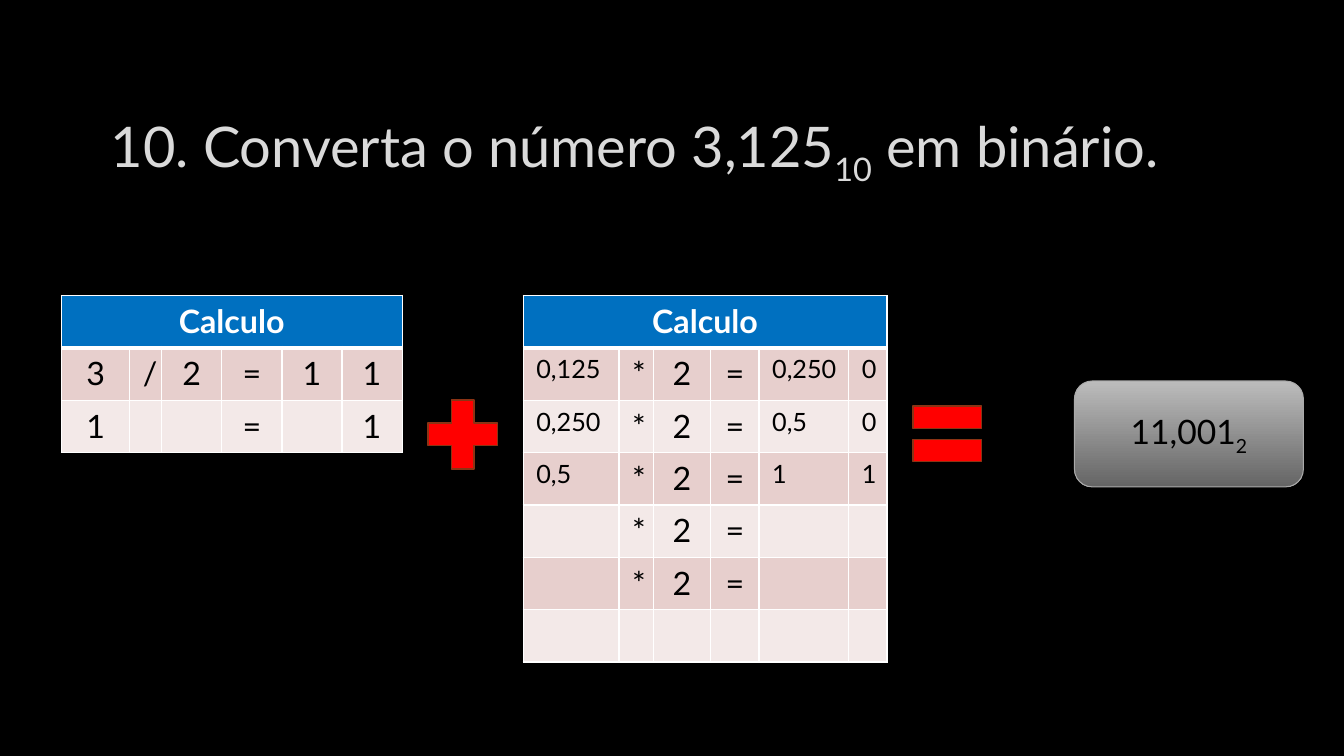
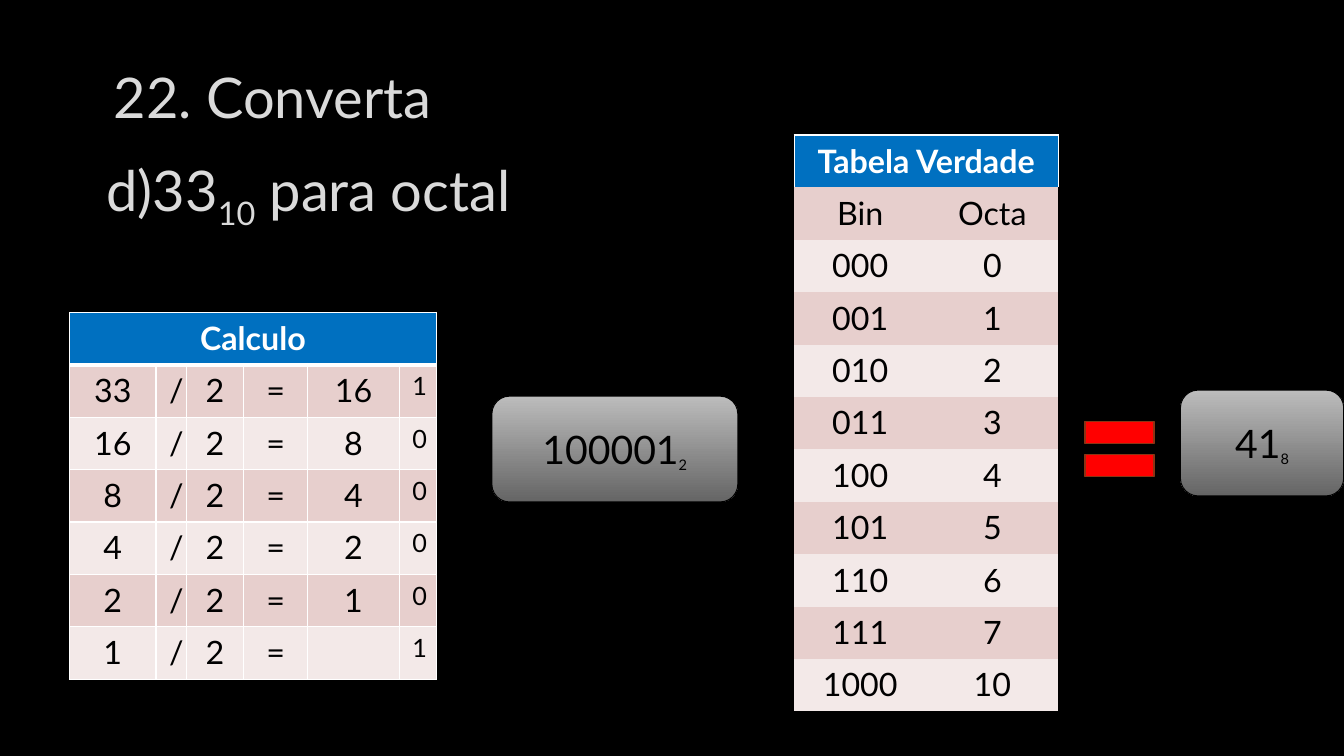
from dataclasses import dataclass

from lxml.etree import SubElement
from pptx import Presentation
from pptx.dml.color import RGBColor as RGB
from pptx.enum.shapes import MSO_SHAPE as SHAPE
from pptx.enum.text import MSO_ANCHOR as ANCHOR, PP_ALIGN as ALIGN
from pptx.oxml.ns import qn
from pptx.util import Inches, Pt

W, H = Inches(13.33), Inches(7.5)


@dataclass(frozen=True)
class Theme:
    """Colours, font and type sizes shared by the slides."""
    font: str = "Lato"
    back: str = "000000"
    title: str = "DADADA"
    ink: str = "000000"
    white: str = "FFFFFF"
    header: str = "0070C0"
    bands: tuple = ("E7CFCD", "F3E9E8")
    sign: str = "FF0000"
    sign_line: str = "8B3314"
    result: tuple = ("BCBCBC", "656565")
    pale_line: str = "AAAAAA"
    title_size: int = 40
    result_size: int = 28
    mid_size: int = 24
    cell_size: int = 23
    small_size: int = 18
    no_style: str = "{2D5ABB26-0587-4C30-8999-92F81FD0307C}"


T = Theme()
ROW = 6.93


def place(x, y, w, h):
    """Turn percentages of the slide into left, top, width and height."""
    return int(W * x / 100), int(H * y / 100), int(W * w / 100), int(H * h / 100)


def add_run(p, text, size, color, bold=False, sub=False):
    """Add one run, optionally bold or subscript."""
    r = p.add_run()
    r.text = text
    f = r.font
    f.name, f.size, f.bold = T.font, Pt(size), bold
    f.color.rgb = RGB.from_string(color)
    if sub:
        r._r.get_or_add_rPr().set("baseline", "-25000")


def add_title(s, box, text, sub="", tail=""):
    """Place a title line with an optional subscript base and ending."""
    tf = s.shapes.add_textbox(*place(*box)).text_frame
    tf.word_wrap = True
    tf.vertical_anchor = ANCHOR.MIDDLE
    for part in (text, sub, tail):
        if part:
            add_run(tf.paragraphs[0], part, T.title_size, T.title, sub=part == sub)


def add_sign(s, kind, box):
    """Place a red mathematical sign."""
    sp = s.shapes.add_shape(kind, *place(*box))
    sp.shadow.inherit = False
    sp.fill.solid()
    sp.fill.fore_color.rgb = RGB.from_string(T.sign)
    sp.line.color.rgb = RGB.from_string(T.sign_line)
    sp.line.width = Pt(1.25)


def add_result(s, box, number, base, size=T.result_size,
               base_size=T.small_size, line=T.back):
    """Place a grey result box holding a number and its base."""
    sp = s.shapes.add_shape(SHAPE.ROUNDED_RECTANGLE, *place(*box))
    sp.shadow.inherit = False
    sp.fill.gradient()
    sp.fill.gradient_angle = 270
    for stop, color, pos in zip(sp.fill.gradient_stops, T.result, (0, 1)):
        stop.color.rgb = RGB.from_string(color)
        stop.position = pos
    sp.line.color.rgb = RGB.from_string(line)
    sp.line.width = Pt(0.75)
    tf = sp.text_frame
    tf.vertical_anchor = ANCHOR.MIDDLE
    p = tf.paragraphs[0]
    p.alignment = ALIGN.CENTER
    add_run(p, number, size, T.ink)
    add_run(p, base, base_size, T.ink, sub=True)


def add_borders(cell, widths):
    """Draw white borders on the sides given as a side-to-points map."""
    tc_pr = cell._tc.get_or_add_tcPr()
    for side in "LRTB":
        width = widths.get(side, 0)
        ln = SubElement(tc_pr, qn(f"a:ln{side}"), w=str(Pt(width)))
        if width:
            fill = SubElement(ln, qn("a:solidFill"))
            SubElement(fill, qn("a:srgbClr"), val=T.white)
        else:
            SubElement(ln, qn("a:noFill"))


def fill_cell(cell, text, fill, borders, color=T.ink, bold=False, small=False):
    """Format one table cell and write its text."""
    cell.margin_left = Inches(0.13)
    cell.margin_right = Inches(0.08 if small else 0.13)
    cell.margin_top = cell.margin_bottom = Inches(0.06)
    add_borders(cell, borders)
    cell.fill.solid()
    cell.fill.fore_color.rgb = RGB.from_string(fill)
    if text:
        p = cell.text_frame.paragraphs[0]
        p.alignment = ALIGN.LEFT if small else ALIGN.CENTER
        add_run(p, text, T.small_size if small else T.cell_size, color, bold)


def add_grid(s, box, heading, rows, shares, small=(), ruled=True):
    """Place a banded table under one merged heading."""
    x, y, w = box
    frame = s.shapes.add_table(len(rows) + 1, len(shares),
                               *place(x, y, w, ROW * (len(rows) + 1)))
    table = frame.table
    table.first_row = table.horz_banding = False
    frame._element.find(".//" + qn("a:tableStyleId")).text = T.no_style
    for col, share in zip(table.columns, shares):
        col.width = int(W * w / 100 * share / sum(shares))
    for row in table.rows:
        row.height = int(H * ROW / 100)
    heavy = 3 if ruled else 0
    table.cell(0, 0).merge(table.cell(0, len(shares) - 1))
    for j in range(len(shares)):
        fill_cell(table.cell(0, j), "" if j else heading, T.header,
                  dict(L=1, R=1, T=1, B=heavy), T.white, True)
    for i, row in enumerate(rows, 1):
        borders = dict(L=1, R=1, T=heavy if i == 1 else 1, B=1) if ruled else {}
        for j, text in enumerate(row):
            fill_cell(table.cell(i, j), text, T.bands[(i - 1) % 2], borders,
                      small=j in small)


def new_slide(prs):
    """Add a blank slide with the dark background."""
    s = prs.slides.add_slide(prs.slide_layouts[6])
    s.background.fill.solid()
    s.background.fill.fore_color.rgb = RGB.from_string(T.back)
    return s


def binary_slide(prs):
    """Build the conversion of a fraction to binary."""
    s = new_slide(prs)
    add_title(s, (7.5, 8.93, 84.9, 21.73),
              "10. Converta o número 3,125", "10", " em binário.")
    whole = [list("3/2=11"), ["1", "", "", "=", "", "1"]]
    add_grid(s, (4.58, 39.07, 25.35), "Calculo", whole,
             (0.68, 0.32, 0.6, 0.6, 0.6, 0.6))
    add_sign(s, SHAPE.MATH_EQUAL, (66.98, 51.2, 6.98, 12.4))
    add_result(s, (79.95, 50.4, 17.03, 14), "11,001", "2",
               T.mid_size, T.mid_size, T.pale_line)
    steps = [("0,125", "0,250", "0"), ("0,250", "0,5", "0"), ("0,5", "1", "1"),
             ("", "", ""), ("", "", "")]
    fraction = [[a, "*", "2", "=", b, bit] for a, b, bit in steps] + [[""] * 6]
    add_grid(s, (38.93, 39.07, 27.08), "Calculo", fraction,
             (0.95, 0.34, 0.57, 0.48, 0.89, 0.38), small=(0, 4, 5))
    add_sign(s, SHAPE.MATH_PLUS, (30.9, 51.2, 7.05, 12.53))


def octal_slide(prs):
    """Build the conversion of a whole number to octal."""
    s = new_slide(prs)
    add_title(s, (7.73, 1.87, 84.9, 21.73), "22. Converta")
    add_title(s, (7.2, 14.8, 84.9, 21.73), "d)33", "10", " para octal")
    add_sign(s, SHAPE.MATH_EQUAL, (79.8, 53.2, 6.98, 12.4))
    add_result(s, (87.83, 51.6, 12.15, 14), "41", "8")
    division = [[str(n), "/", "2", "=", str(n // 2 or ""), str(n % 2)]
                for n in (33, 16, 8, 4, 2, 1)]
    add_grid(s, (5.18, 41.33, 27.15), "Calculo", division,
             (0.86, 0.28, 0.57, 0.64, 0.91, 0.37), small=(5,))
    truth = [["Bin", "Octa"]] + [[f"{n:03b}", f"{n:o}"] for n in range(9)]
    add_grid(s, (59.1, 17.87, 19.65), "Tabela Verdade", truth, (1, 1), ruled=False)
    add_result(s, (36.6, 52.4, 18.3, 14), "100001", "2")


def main():
    """Build and save the presentation."""
    prs = Presentation()
    prs.slide_width, prs.slide_height = W, H
    binary_slide(prs)
    octal_slide(prs)
    prs.save("out.pptx")


if __name__ == "__main__":
    main()
